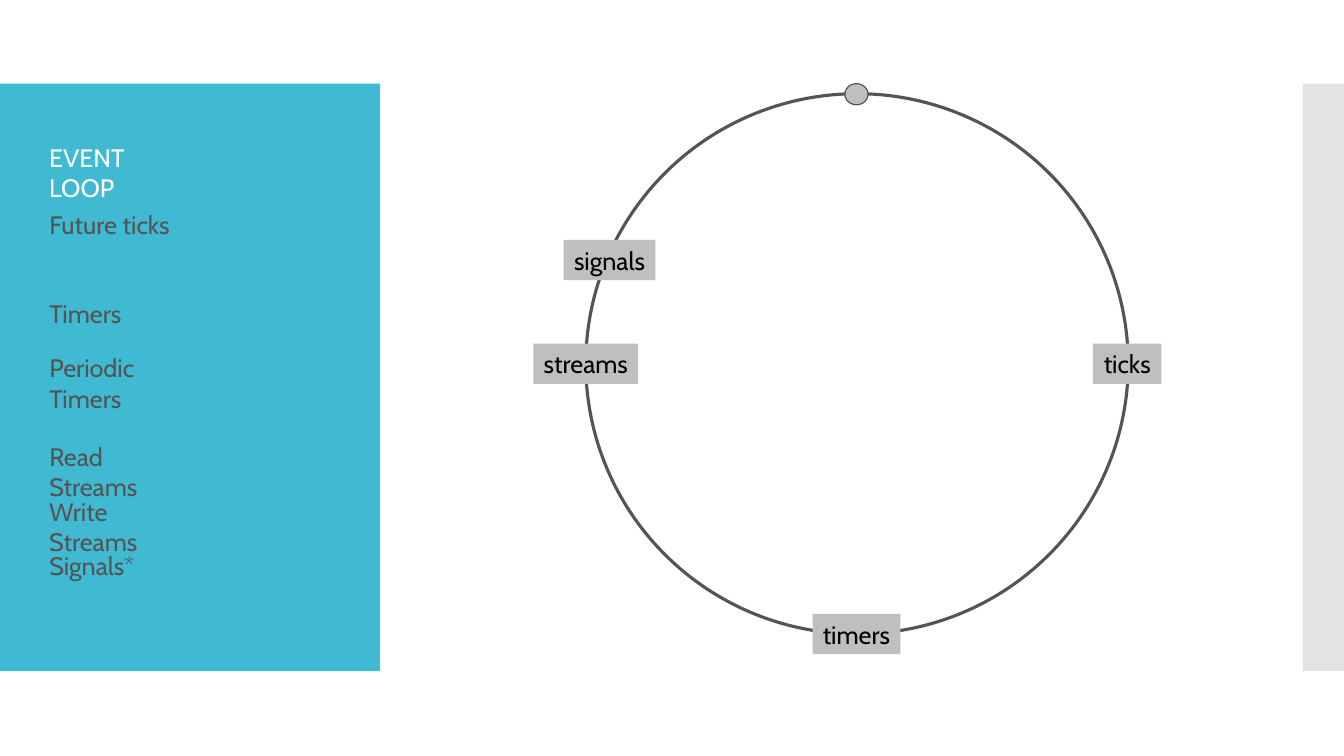
from dataclasses import dataclass

import pptx
import pptx.dml.color
import pptx.enum.shapes
import pptx.enum.text
import pptx.oxml
import pptx.oxml.ns
import pptx.util
from pptx.shapes.autoshape import Shape
from pptx.slide import Slide
from pptx.text.text import TextFrame

RGBColor = pptx.dml.color.RGBColor
MSO_SHAPE = pptx.enum.shapes.MSO_SHAPE
PP_ALIGN = pptx.enum.text.PP_ALIGN
MSO_ANCHOR = pptx.enum.text.MSO_ANCHOR

TEAL = RGBColor(0x40, 0xBA, 0xD2)
SIDE_GREY = RGBColor(0xC8, 0xC8, 0xC8)
NODE_GREY = RGBColor(0xBF, 0xBF, 0xBF)
DARK = RGBColor(0x54, 0x54, 0x54)
WHITE = RGBColor(0xFF, 0xFF, 0xFF)
BLACK = RGBColor(0x00, 0x00, 0x00)

FONT = "Cabin"
LABEL_LEFT = 39
TEXT_HEIGHT = 40
WRAP_INSET = 20


@dataclass(frozen=True)
class Label:
    text: str
    top: int
    width: int
    wraps: bool = False
    color: RGBColor = DARK


@dataclass(frozen=True)
class Node:
    text: str
    left: int
    top: int
    width: int


LABELS = [
    Label("EVENT LOOP", 136, 163, True, WHITE),
    Label("Future ticks", 203, 142),
    Label("Timers", 291, 92),
    Label("Periodic Timers", 345, 179, True),
    Label("Read Streams", 433, 165, True),
    Label("Write Streams", 487, 170, True),
    Label("Signals*", 541, 108),
]

NODES = [
    Node("timers", 806, 609, 87),
    Node("streams", 529, 341, 104),
    Node("ticks", 1084, 341, 68),
    Node("signals", 559, 238, 91),
]


def px(n: int) -> pptx.util.Emu:
    return pptx.util.Emu(n * 9144)


def add_box(s: Slide, kind: MSO_SHAPE, left: int, top: int, width: int, height: int,
            fill: RGBColor | None = None, line: float | None = None) -> Shape:
    sp = s.shapes.add_shape(kind, px(left), px(top), px(width), px(height))
    sp.shadow.inherit = False
    if fill is None:
        sp.fill.background()
    else:
        sp.fill.solid()
        sp.fill.fore_color.rgb = fill
    if line is None:
        sp.line.fill.background()
    else:
        sp.line.color.rgb = DARK
        sp.line.width = pptx.util.Pt(line)
    return sp


def set_text(tf: TextFrame, text: str, color: RGBColor, align: PP_ALIGN) -> None:
    p = tf.paragraphs[0]
    p.text = text
    p.alignment = align
    p.font.name = FONT
    p.font.size = pptx.util.Pt(18)
    p.font.color.rgb = color


def add_label(s: Slide, label: Label) -> None:
    sp = s.shapes.add_textbox(px(LABEL_LEFT), px(label.top), px(label.width), px(TEXT_HEIGHT))
    tf = sp.text_frame
    tf.word_wrap = True
    tf.margin_right = px(WRAP_INSET if label.wraps else 0)
    set_text(tf, label.text, label.color, PP_ALIGN.LEFT)


def add_node(s: Slide, node: Node) -> None:
    sp = add_box(s, MSO_SHAPE.RECTANGLE, node.left, node.top, node.width, TEXT_HEIGHT, NODE_GREY)
    tf = sp.text_frame
    tf.word_wrap = False
    tf.vertical_anchor = MSO_ANCHOR.MIDDLE
    set_text(tf, node.text, BLACK, PP_ALIGN.CENTER)


def set_alpha(sp: Shape, percent: int) -> None:
    color = sp.fill._xPr.find(".//" + pptx.oxml.ns.qn("a:srgbClr"))
    alpha = pptx.oxml.parse_xml(
        f'<a:alpha {pptx.oxml.ns.nsdecls("a")} val="{percent * 1000}"/>')
    color.append(alpha)


def main() -> None:
    prs = pptx.Presentation()
    prs.slide_width, prs.slide_height = px(1333), px(750)
    s = prs.slides.add_slide(prs.slide_layouts[6])

    add_box(s, MSO_SHAPE.RECTANGLE, 0, 83, 377, 583, TEAL)
    side = add_box(s, MSO_SHAPE.RECTANGLE, 1292, 83, 41, 583, SIDE_GREY)
    set_alpha(side, 50)

    for label in LABELS:
        add_label(s, label)

    add_box(s, MSO_SHAPE.OVAL, 581, 93, 538, 536, line=2.25)
    for node in NODES:
        add_node(s, node)
    add_box(s, MSO_SHAPE.OVAL, 838, 83, 23, 21, NODE_GREY, 0.85)

    prs.save("out.pptx")


if __name__ == "__main__":
    main()
